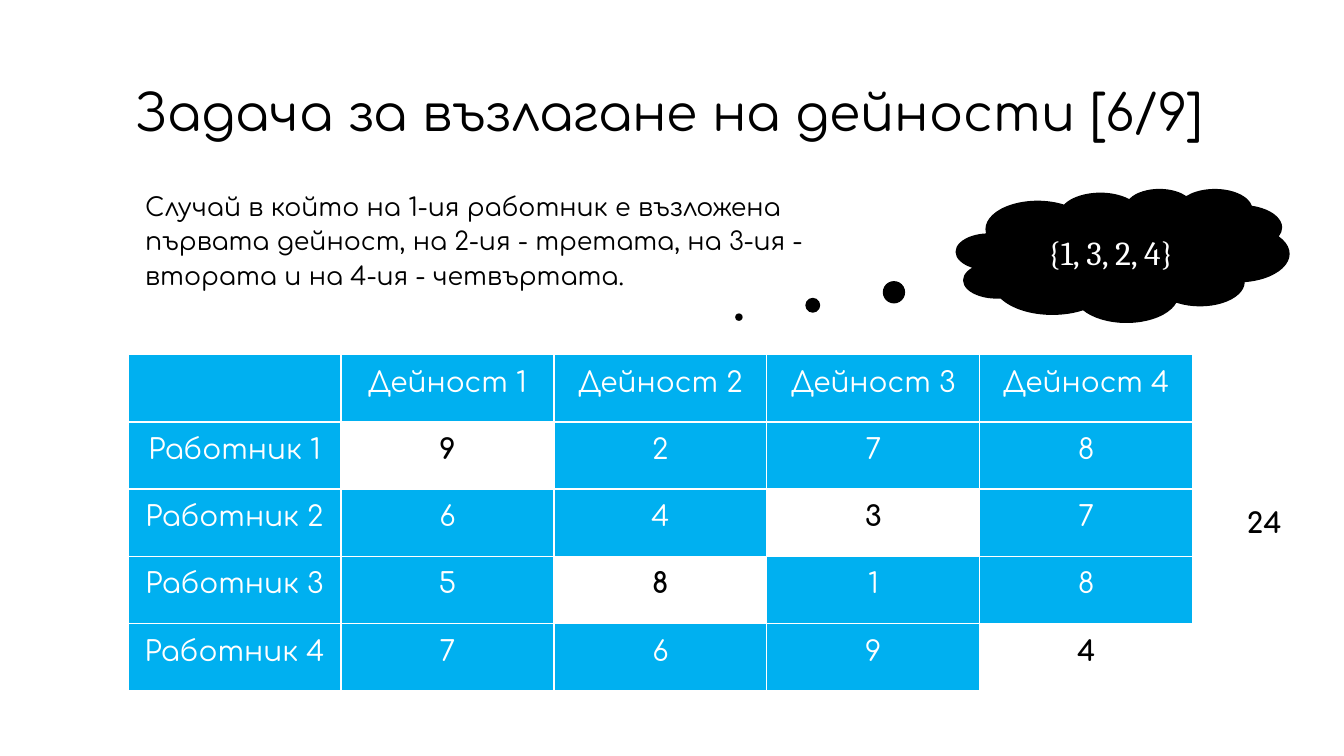
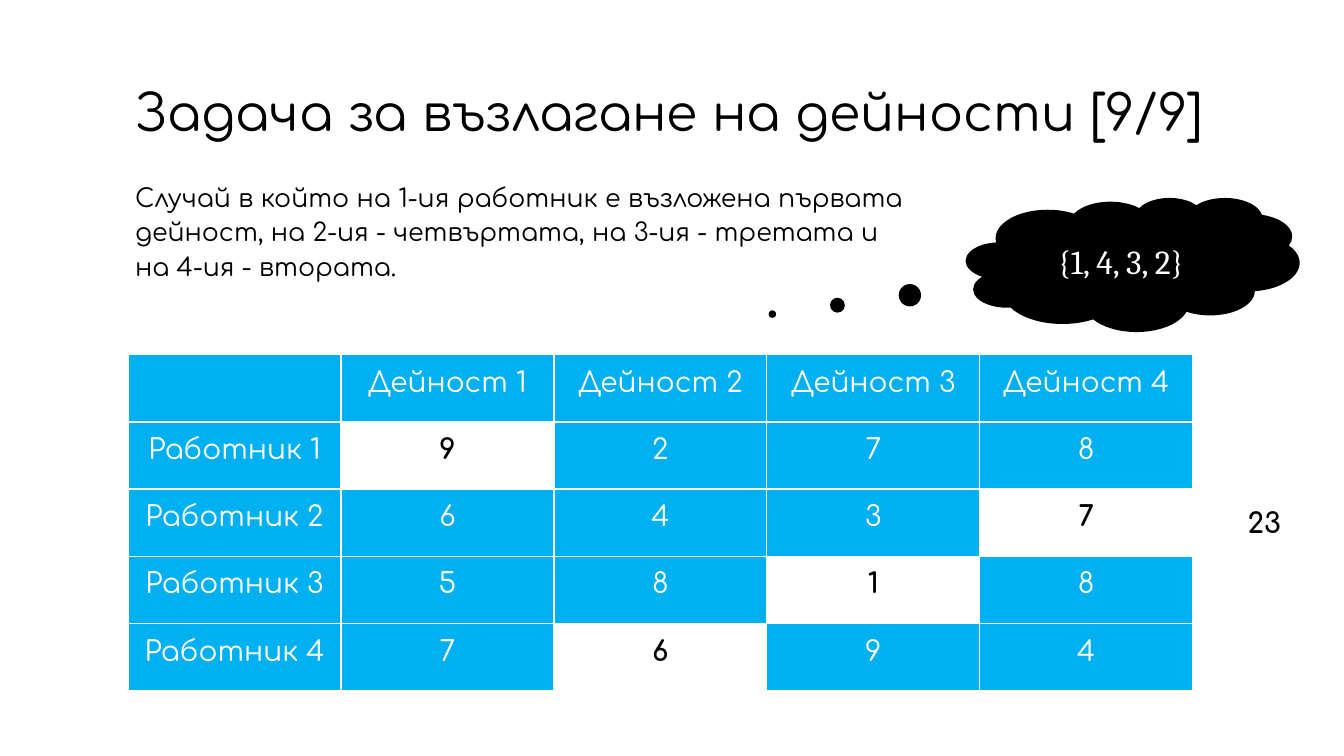
from dataclasses import dataclass

from lxml.etree import SubElement as Sub
from pptx import Presentation
from pptx.dml.color import RGBColor as RGB
from pptx.enum.shapes import MSO_SHAPE as Shape
from pptx.enum.text import MSO_ANCHOR as Anchor, PP_ALIGN as Align
from pptx.oxml.ns import qn
from pptx.util import Inches, Pt


@dataclass(frozen=True)
class Theme:
    ink: str = "000000"
    paper: str = "FFFFFF"
    blue: str = "00B0F0"
    font: str = "Comfortaa"
    math: str = "Cambria"
    title: int = 36
    cloud: int = 24
    cell: int = 20
    body: int = 18


look = Theme()


def write(frame, text, size, color=look.ink, font=look.font, bold=False,
          align=Align.LEFT, anchor=Anchor.TOP, gap=1.0, pad=None):
    frame.word_wrap = True
    frame.vertical_anchor = anchor
    if pad:
        frame.margin_left = frame.margin_right = Inches(pad[0])
        frame.margin_top = frame.margin_bottom = Inches(pad[1])
    para = frame.paragraphs[0]
    para.alignment = align
    para.line_spacing = gap
    run = para.add_run()
    run.text = text
    run.font.size = Pt(size)
    run.font.name = font
    run.font.bold = bold
    run.font.color.rgb = RGB.from_string(color)


def edge(cell):
    props = cell._tc.get_or_add_tcPr()
    for side in ("lnL", "lnR", "lnT", "lnB"):
        line = Sub(props, qn(f"a:{side}"), w=str(Pt(1)))
        Sub(Sub(line, qn("a:solidFill")), qn("a:srgbClr"), val=look.paper)


costs = [[9, 2, 7, 8], [6, 4, 3, 7], [5, 8, 1, 8], [7, 6, 9, 4]]
grid = [[""] + [f"Дейност {n}" for n in range(1, 5)]]
grid += [[f"Работник {n}", *map(str, row)] for n, row in enumerate(costs, 1)]
count = len(grid)

cases = [
    dict(page=6, plan=[1, 3, 2, 4], body=(1.32, 1.81, 7.16, 1.63),
         cloud=(9.48, 1.87, 3.31, 1.33), tail=(-1.15, 0.46),
         text="Случай в който на 1-ия работник е възложена първата дейност, "
              "на 2-ия - третата, на 3-ия - втората и на 4-ия - четвъртата."),
    dict(page=9, plan=[1, 4, 3, 2], body=(1.22, 1.72, 7.97, 1.57),
         cloud=(9.58, 1.96, 3.31, 1.33), tail=(-1.08, 0.37),
         text="Случай в който на 1-ия работник е възложена първата дейност, "
              "на 2-ия - четвъртата, на 3-ия - третата и на 4-ия - втората."),
]

deck = Presentation()
deck.slide_width, deck.slide_height = Inches(13.33), Inches(7.5)

for case in cases:
    slide = deck.slides.add_slide(deck.slide_layouts[6])
    plan = case["plan"]

    title = slide.shapes.add_textbox(*map(Inches, (1.22, 0.72, 11.58, 0.84)))
    write(title.text_frame, f"Задача за възлагане на дейности [{case['page']}/9]",
          look.title, anchor=Anchor.MIDDLE, gap=0.9, pad=(0.12, 0.04))

    body = slide.shapes.add_textbox(*map(Inches, case["body"]))
    write(body.text_frame, case["text"], look.body, gap=1.15, pad=(0.12, 0.04))

    cloud = slide.shapes.add_shape(Shape.CLOUD_CALLOUT, *map(Inches, case["cloud"]))
    cloud.shadow.inherit = False
    cloud.fill.solid()
    cloud.fill.fore_color.rgb = RGB.from_string(look.ink)
    cloud.line.fill.background()
    cloud.adjustments[0], cloud.adjustments[1] = case["tail"]
    write(cloud.text_frame, "{" + ", ".join(map(str, plan)) + "}", look.cloud,
          look.paper, look.math, align=Align.CENTER, anchor=Anchor.MIDDLE,
          pad=(0.13, 0.13))

    table = slide.shapes.add_table(
        count, count, *map(Inches, (1.27, 3.52, 10.56, 3.33))).table
    for r, row in enumerate(grid):
        for c, text in enumerate(row):
            cell = table.cell(r, c)
            pick = r > 0 and plan[r - 1] == c
            edge(cell)
            cell.fill.solid()
            cell.fill.fore_color.rgb = RGB.from_string(look.paper if pick else look.blue)
            cell.margin_left = cell.margin_right = Inches(0.13)
            cell.margin_top = cell.margin_bottom = Inches(0.13)
            if text:
                write(cell.text_frame, text, look.cell,
                      look.ink if pick else look.paper, bold=pick, align=Align.CENTER)

    total = sum(row[job - 1] for row, job in zip(costs, plan))
    note = slide.shapes.add_textbox(*map(Inches, (12.06, 4.97, 0.96, 0.67)))
    write(note.text_frame, str(total), look.cell, bold=True, align=Align.CENTER)

deck.save("out.pptx")
